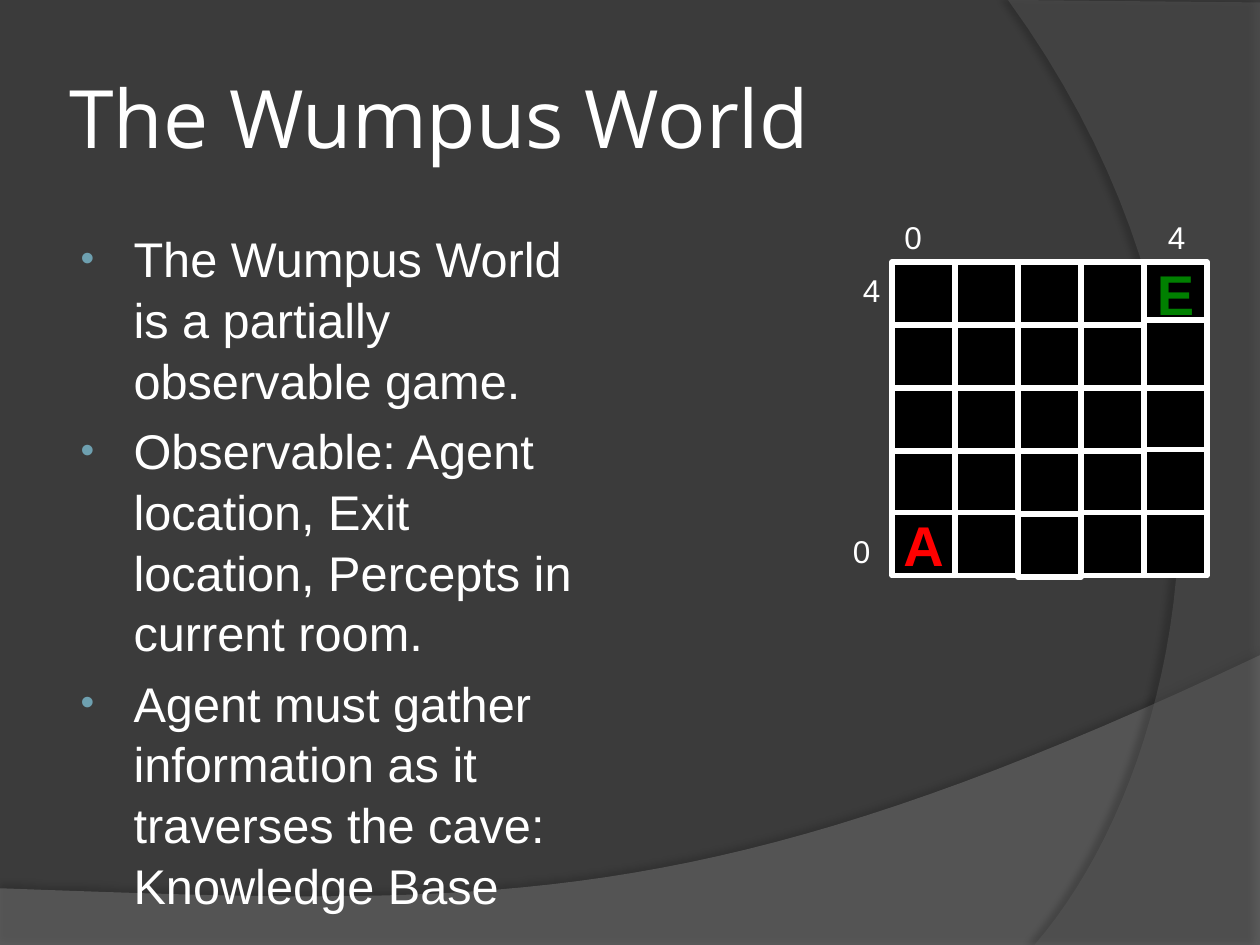
from lxml import etree
from pptx import Presentation
from pptx.dml.color import RGBColor
from pptx.enum.shapes import MSO_SHAPE
from pptx.enum.text import MSO_ANCHOR, MSO_AUTO_SIZE, PP_ALIGN
from pptx.oxml import parse_xml
from pptx.oxml.ns import qn
from pptx.util import Inches, Pt

RECT = MSO_SHAPE.RECTANGLE
MIDDLE = MSO_ANCHOR.MIDDLE
NO_FIT = MSO_AUTO_SIZE.NONE
LEFT, CENTER = PP_ALIGN.LEFT, PP_ALIGN.CENTER
NS = "http://schemas.openxmlformats.org/drawingml/2006/main"

WHITE = RGBColor(0xFF, 0xFF, 0xFF)
BLACK = RGBColor(0, 0, 0)
DARK = RGBColor(0x3B, 0x3B, 0x3B)
GREY = RGBColor(0x7F, 0x7F, 0x7F)
SLATE = RGBColor(0x5E, 0x5E, 0x5E)
GREEN = RGBColor(0, 0x80, 0)
RED = RGBColor(0xFF, 0, 0)

STEPS = 40
CELL = 0.5
GRID_X, GRID_Y = 7.08, 2.08


def style(par, size, color, font="Arial", bold=False):
    """Format every run of a paragraph."""
    for run in par.runs:
        run.font.size = Pt(size)
        run.font.name = font
        run.font.bold = bold
        run.font.color.rgb = color


def curve(a, b, c, d):
    """Return points along a cubic curve from a to d."""
    pts = []
    for i in range(STEPS + 1):
        t = i / STEPS
        u = 1 - t
        pts.append(tuple(
            u**3 * p + 3 * u * u * t * q + 3 * u * t * t * r + t**3 * s
            for p, q, r, s in zip(a, b, c, d)))
    return pts


prs = Presentation()
prs.slide_width, prs.slide_height = Inches(10), Inches(7.5)
slide = prs.slides.add_slide(prs.slide_layouts[1])
slide.background.fill.solid()
slide.background.fill.fore_color.rgb = DARK
shapes = slide.shapes
title, body = shapes.title, slide.placeholders[1]

# Background waves: outline, colour, opacity, shadow opacity, distance, angle
floor = [(0, 7.51), (10, 7.51)] + curve(
    (10, 5.2), (5.59, 7.29), (3.91, 7.19), (0, 7.05))
side = [(10, 0.02), (10, 7.5)] + curve(
    (8.21, 7.5), (9.35, 6.19), (10.18, 3), (8, 0))
waves = [(floor, GREY, 45, 35, 3.5, 270), (side, SLATE, 40, 45, 4, 180)]
for pts, color, alpha, dim, dist, angle in waves:
    pts = [(Inches(x), Inches(y)) for x, y in pts]
    path = shapes.build_freeform(*pts[0], scale=1.0)
    path.add_line_segments(pts[1:], close=True)
    wave = path.convert_to_shape()
    wave.fill.solid()
    wave.fill.fore_color.rgb = color
    wave.line.fill.background()
    tint = wave._element.spPr.find(".//" + qn("a:srgbClr"))
    etree.SubElement(tint, qn("a:alpha")).set("val", str(alpha * 1000))
    wave._element.spPr.append(parse_xml(
        f'<a:effectLst xmlns:a="{NS}"><a:outerShdw blurRad="{Pt(4)}" '
        f'dist="{Pt(dist)}" dir="{angle * 60000}" algn="ctr" '
        f'rotWithShape="0"><a:srgbClr val="000000">'
        f'<a:alpha val="{dim * 1000}"/></a:srgbClr>'
        f'</a:outerShdw></a:effectLst>'))
    # Waves sit behind the placeholders
    title._element.addprevious(wave._element)

title.left, title.top = Inches(0.5), Inches(0.3)
title.width, title.height = Inches(8.17), Inches(1.25)
frame = title.text_frame
frame.text = "The Wumpus World"
frame.auto_size = NO_FIT
frame.vertical_anchor = MIDDLE
frame.margin_left = frame.margin_right = Inches(0.05)
frame.paragraphs[0].alignment = LEFT
style(frame.paragraphs[0], 46, WHITE, "Open Sans")

body.left, body.top = Inches(0.5), Inches(1.75)
body.width, body.height = Inches(4.33), Inches(4.95)
frame = body.text_frame
frame.text = "\n".join([
    "The Wumpus World is a partially observable game.",
    "Observable: Agent location, Exit location, Percepts in current room.",
    "Agent must gather information as it traverses the cave: "
    "Knowledge Base"])
frame.auto_size = NO_FIT
for par in frame.paragraphs:
    par.space_before = Pt(5.5)
    par.line_spacing = 1.04
    style(par, 27.8, WHITE)
    props = par._p.get_or_add_pPr()
    props.set("marL", str(Inches(0.46)))
    props.set("indent", str(Inches(-0.42)))
    for xml in ('<a:buClr xmlns:a="{}"><a:srgbClr val="6EA0B0"/></a:buClr>',
                '<a:buSzPct xmlns:a="{}" val="80000"/>',
                '<a:buFont xmlns:a="{}" typeface="Arial"/>',
                '<a:buChar xmlns:a="{}" char="\u2022"/>'):
        props.append(parse_xml(xml.format(NS)))

# Cave rooms, by column and row from the top left
marks = {(4, 0): ("E", GREEN), (0, 4): ("A", RED)}
tops = {(4, 1): 2.54, (4, 3): 3.57, (2, 4): 4.08}
for col in range(5):
    for row in range(5):
        base = GRID_Y + row * CELL - (0.01 if row == 4 else 0)
        top = tops.get((col, row), base)
        high = 0.54 if (col, row) == (4, 1) else CELL
        room = shapes.add_shape(RECT, Inches(GRID_X + col * CELL),
                                Inches(top), Inches(CELL), Inches(high))
        room.shadow.inherit = False
        room.fill.solid()
        room.fill.fore_color.rgb = BLACK
        room.line.color.rgb = WHITE
        room.line.width = Pt(3)
        if (col, row) in marks:
            text, color = marks[col, row]
            frame = room.text_frame
            frame.text = text
            frame.word_wrap = False
            frame.vertical_anchor = MIDDLE
            frame.paragraphs[0].alignment = CENTER
            style(frame.paragraphs[0], 32, color, bold=True)

# Axis labels
for text, x, y in [("0", 6.67, 4.17), ("4", 6.75, 2.1),
                   ("0", 7.08, 1.68), ("4", 9.17, 1.68)]:
    label = shapes.add_textbox(Inches(x), Inches(y), Inches(0.42), Inches(0.4))
    label.text_frame.word_wrap = True
    label.text_frame.text = text
    style(label.text_frame.paragraphs[0], 18, WHITE)

prs.save("out.pptx")
